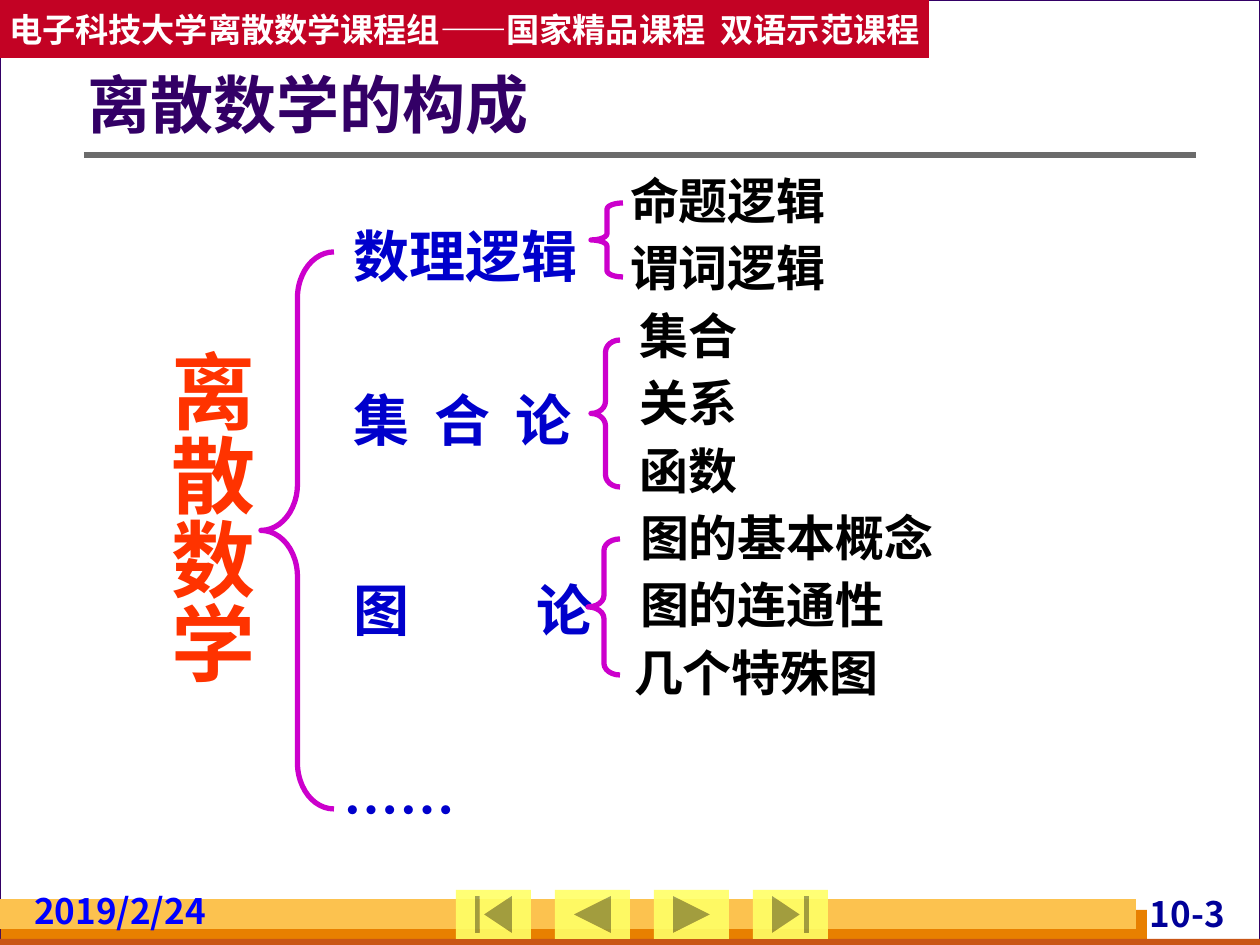
from dataclasses import dataclass

from lxml.etree import SubElement
from pptx import Presentation
from pptx.dml.color import RGBColor
from pptx.enum.shapes import MSO_CONNECTOR, MSO_SHAPE
from pptx.enum.text import MSO_ANCHOR, MSO_AUTO_SIZE, PP_ALIGN
from pptx.oxml.ns import qn
from pptx.util import Emu, Pt

SCALE = 914400 / 126
ROW_PITCH = 67.4


@dataclass(frozen=True)
class Theme:
    """Colours, fonts and type sizes of the deck."""
    backdrop: str = "D8DADA"
    paper: str = "FFFFFF"
    title: str = "330066"
    rule: str = "6B6B6B"
    banner: str = "C30224"
    orange: str = "E88000"
    rust: str = "C95616"
    amber: str = "FCC24F"
    button: str = "FFFF66"
    number: str = "000099"
    date: str = "0000FF"
    root: str = "FF3300"
    topic: str = "0000CC"
    leaf: str = "000000"
    brace: str = "CC00CC"
    sans: str = "Noto Sans CJK SC"
    narrow: str = "Arial Narrow"
    banner_size: int = 19
    footer_size: int = 20
    leaf_size: int = 28
    topic_size: int = 32
    title_size: int = 36
    root_size: int = 48


@dataclass(frozen=True)
class Box:
    """A rectangle in px."""
    left: int
    top: int
    width: int
    height: int

    def inner(self, left, top, width, height):
        """Return a box placed relative to this one."""
        return Box(self.left + left, self.top + top, width, height)

    def emu(self):
        """Return the four lengths in EMU."""
        return [px(n) for n in (self.left, self.top, self.width, self.height)]


THEME = Theme()


def px(length):
    """Turn px into EMU."""
    return Emu(round(length * SCALE))


def rgb(code):
    """Turn a hex code into a colour."""
    return RGBColor.from_string(code)


def add_block(page, box, fill, kind=MSO_SHAPE.RECTANGLE, outline=None):
    """Add a filled shape and return it."""
    block = page.shapes.add_shape(kind, *box.emu())
    block.shadow.inherit = False
    block.fill.solid()
    block.fill.fore_color.rgb = rgb(fill)
    if outline:
        block.line.color.rgb = rgb(outline)
        block.line.width = Pt(0.75)
    else:
        block.line.fill.background()
    return block


def write(shape, text, size, color, font=THEME.sans, insets=(0, 0, 0, 0),
          align=PP_ALIGN.LEFT, spacing=None, tabs=()):
    """Put one bold paragraph into a shape."""
    frame = shape.text_frame
    frame.text = text
    frame.margin_left, frame.margin_top, frame.margin_right, frame.margin_bottom = map(px, insets)
    para = frame.paragraphs[0]
    if tabs:
        stops = SubElement(para._p.get_or_add_pPr(), qn("a:tabLst"))
        for stop in tabs:
            SubElement(stops, qn("a:tab"), pos=str(px(stop)), algn="l")
    para.alignment = align
    if spacing:
        para.line_spacing = spacing
    for span in para.runs:
        span.font.name = font
        span.font.size = Pt(size)
        span.font.bold = True
        span.font.color.rgb = rgb(color)
        SubElement(span._r.get_or_add_rPr(), qn("a:ea"), typeface=THEME.sans)


def add_label(page, box, text, size, color, **style):
    """Add a wrapping text box that fits its text and return it."""
    label = page.shapes.add_textbox(*box.emu())
    label.text_frame.word_wrap = True
    label.text_frame.auto_size = MSO_AUTO_SIZE.SHAPE_TO_FIT_TEXT
    write(label, text, size, color, **style)
    return label


def add_brace(page, box, curl):
    """Add a left brace whose curl is a share of its width."""
    brace = page.shapes.add_shape(MSO_SHAPE.LEFT_BRACE, *box.emu())
    brace.shadow.inherit = False
    brace.adjustments[0] = curl
    brace.fill.background()
    brace.line.color.rgb = rgb(THEME.brace)
    brace.line.width = Pt(3)


def add_topic(page, box, text, **style):
    """Add the name of a branch."""
    add_label(page, box, text, THEME.topic_size, THEME.topic,
              insets=(13, 6, 13, 6), **style)


def add_footer(page, box):
    """Add the coloured strips, date, slide number and navigation buttons."""
    add_block(page, box.inner(1, 21, 1146, 35), THEME.orange)
    add_block(page, box.inner(0, 50, 1260, 6), THEME.rust)
    add_block(page, box.inner(0, 10, 1136, 30), THEME.amber)
    insets = (5, 0, 5, 0)
    add_label(page, box.inner(1126, 3, 123, 42), "10-3", THEME.footer_size,
              THEME.number, insets=insets, align=PP_ALIGN.CENTER)
    add_label(page, box.inner(29, 0, 208, 42), "2019/2/24", THEME.footer_size,
              THEME.date, insets=insets)
    kinds = (MSO_SHAPE.ACTION_BUTTON_BEGINNING, MSO_SHAPE.ACTION_BUTTON_BACK_OR_PREVIOUS,
             MSO_SHAPE.ACTION_BUTTON_FORWARD_OR_NEXT, MSO_SHAPE.ACTION_BUTTON_END)
    for index, kind in enumerate(kinds):
        button = add_block(page, box.inner(456 + 99 * index, 1, 75, 49), THEME.button, kind)
        color = button.fill._xPr.find(".//" + qn("a:srgbClr"))
        SubElement(color, qn("a:alpha"), val="90000")


def add_header(page, box):
    """Add the banner, the title and the rule below it."""
    banner = add_block(page, box.inner(0, 0, 929, 58), THEME.banner)
    banner.text_frame.word_wrap = False
    banner.text_frame.vertical_anchor = MSO_ANCHOR.MIDDLE
    write(banner, "电子科技大学离散数学课程组——国家精品课程  双语示范课程", THEME.banner_size,
          THEME.paper, insets=(5, 6, 5, 6), align=PP_ALIGN.CENTER)
    title = add_label(page, box.inner(87, 59, 1042, 99), "离散数学的构成", THEME.title_size,
                      THEME.title, insets=(0, 6, 13, 6), spacing=0.9)
    title.text_frame.auto_size = MSO_AUTO_SIZE.NONE
    title.text_frame.vertical_anchor = MSO_ANCHOR.MIDDLE
    level = px(box.top + 155)
    rule = page.shapes.add_connector(MSO_CONNECTOR.STRAIGHT, px(box.left + 84), level,
                                     px(box.left + 1196), level)
    rule.line.color.rgb = rgb(THEME.rule)
    rule.line.width = Pt(3)
    SubElement(rule._element.spPr, qn("a:effectLst"))


def add_leaves(page, box, leaves):
    """Stack the subtopics at an even pitch."""
    for row, (text, left, width) in enumerate(leaves):
        add_label(page, box.inner(left, round(row * ROW_PITCH), width, 59), text,
                  THEME.leaf_size, THEME.leaf, font=THEME.narrow)


def add_tree(page, box):
    """Add the root, its brace and the branches."""
    root = add_label(page, box.inner(0, 179, 91, 383), "离散数学", THEME.root_size,
                     THEME.root, align=PP_ALIGN.JUSTIFY, spacing=0.9)
    root.text_frame._txBody.bodyPr.set("vert", "eaVert")
    add_brace(page, box.inner(102, 81, 73, 557), 0.631)
    add_topic(page, box.inner(182, 31, 302, 93), "数理逻辑",
              align=PP_ALIGN.JUSTIFY, spacing=1.2)
    add_topic(page, box.inner(182, 209, 266, 79), "集\t合\t论",
              font=THEME.narrow, tabs=(81, 162))
    add_topic(page, box.inner(182, 399, 277, 79), "图\t论",
              font=THEME.narrow, tabs=(183,))
    add_topic(page, box.inner(172, 598, 312, 79), "……")
    add_brace(page, box.inner(432, 32, 32, 74), 0.197)
    add_brace(page, box.inner(432, 169, 29, 147), 0.421)
    add_brace(page, box.inner(429, 368, 32, 136), 0.361)
    add_leaves(page, box, (
        ("命题逻辑", 471, 284), ("谓词逻辑", 471, 284),
        ("集合", 481, 126), ("关系", 481, 116), ("函数", 481, 126),
        ("图的基本概念", 481, 346), ("图的连通性", 481, 284), ("几个特殊图", 475, 294)))


def main():
    """Build the deck."""
    deck = Presentation()
    deck.slide_width, deck.slide_height = px(1260), px(945)
    page = deck.slides.add_slide(deck.slide_layouts[6])
    page.background.fill.solid()
    page.background.fill.fore_color.rgb = rgb(THEME.backdrop)
    add_block(page, Box(0, 0, 1260, 945), THEME.paper, outline=THEME.title)
    add_footer(page, Box(0, 889, 1260, 56))
    add_header(page, Box(0, 0, 1260, 158))
    add_tree(page, Box(159, 171, 827, 677))
    deck.save("out.pptx")


if __name__ == "__main__":
    main()
